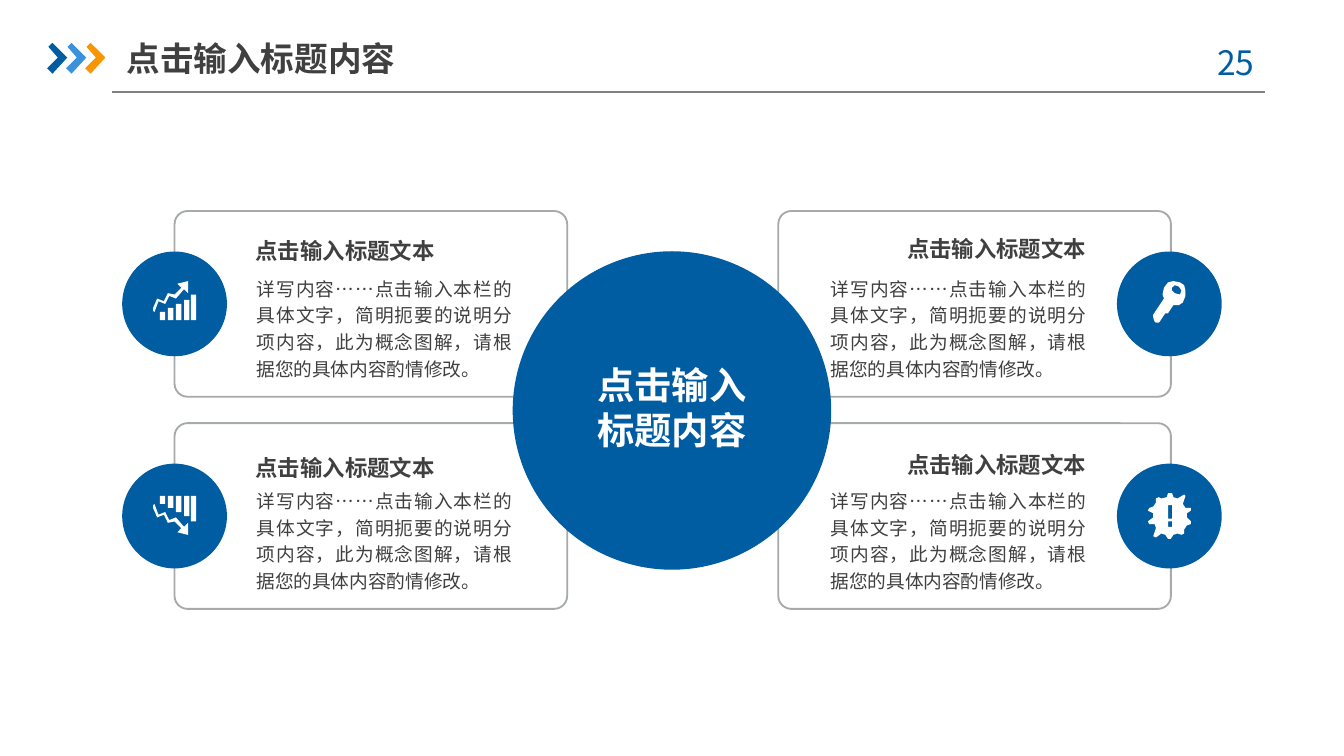
"""Build a slide with a central hub and four icon cards."""
from lxml.etree import SubElement
from pptx import Presentation
from pptx.dml.color import RGBColor
from pptx.enum.shapes import MSO_CONNECTOR, MSO_SHAPE
from pptx.enum.text import MSO_ANCHOR, MSO_AUTO_SIZE, PP_ALIGN
from pptx.oxml.ns import qn
from pptx.util import Cm, Pt

THEME = {
    "font": "Noto Sans CJK SC",
    "blue": RGBColor(0x00, 0x5D, 0xA2), "sky": RGBColor(0x39, 0x92, 0xDB),
    "orange": RGBColor(0xF7, 0x96, 0x00), "white": RGBColor(0xFF, 0xFF, 0xFF),
    "ink": RGBColor(0x40, 0x40, 0x40), "rule": RGBColor(0x80, 0x80, 0x80),
    "border": RGBColor(0xA6, 0xAA, 0xA9),
    "title": Pt(18), "hub": Pt(20), "heading": Pt(12), "detail": Pt(10),
}
ICON_UNIT = Cm(0.0254)
DETAIL = "详写内容……点击输入本栏的具体文字，简明扼要的说明分项内容，此为概念图解，请根据您的具体内容酌情修改。"


def write(holder, text, size, colour, bold=False, inset=(0, 0), anchor=MSO_ANCHOR.MIDDLE, **paragraph_format):
    frame = holder.text_frame
    frame.text = text
    side, end = (Cm(value) for value in inset)
    frame_format = {"word_wrap": True, "auto_size": MSO_AUTO_SIZE.NONE, "vertical_anchor": anchor,
                    "margin_left": side, "margin_right": side, "margin_top": end, "margin_bottom": end}
    paragraph = frame.paragraphs[0]
    run = paragraph.runs[0]
    run.font.color.rgb = THEME[colour]
    font_format = {"name": THEME["font"], "size": THEME[size], "bold": bold}
    for target, values in ((frame, frame_format), (paragraph, paragraph_format), (run.font, font_format)):
        for key, value in values.items():
            setattr(target, key, value)
    SubElement(run._r.get_or_add_rPr(), qn("a:ea"), typeface=THEME["font"])


def draw(contours, x, y, colour):
    builder = slide.shapes.build_freeform(*contours[0][0], scale=ICON_UNIT)
    for order, contour in enumerate(contours):
        if order:
            builder.move_to(*contour[0])
        builder.add_line_segments(contour[1:], close=True)
    outline = builder.convert_to_shape(Cm(x), Cm(y))
    outline.shadow.inherit = False
    outline.fill.solid()
    outline.fill.fore_color.rgb = THEME[colour]
    outline.line.fill.background()


presentation = Presentation()
presentation.slide_width, presentation.slide_height = Cm(25.4), Cm(14.29)
slide = presentation.slides.add_slide(presentation.slide_layouts[5])

title = slide.shapes.title
title_place = {"left": Cm(2.39), "top": Cm(0.56), "width": Cm(5.92), "height": Cm(1.07)}
for side, length in title_place.items():
    setattr(title, side, length)
write(title, "点击输入标题内容", "title", "ink", True, (0, 0.13), alignment=PP_ALIGN.LEFT)

header_rule = slide.shapes.add_connector(MSO_CONNECTOR.STRAIGHT, Cm(2.11), Cm(1.74), Cm(23.9), Cm(1.74))
header_rule.line.color.rgb = THEME["rule"]
header_rule.line.width = Pt(0.75)
SubElement(header_rule._element.spPr, qn("a:effectLst"))

chevron = [(1, 3), (4, 0), (15, 11), (4, 23), (0, 19), (8, 11)]
for step, colour in enumerate(("blue", "sky", "orange")):
    draw([chevron], 0.89 + 0.36 * step, 0.81, colour)

page_number = slide.shapes.add_textbox(Cm(22.5), Cm(0.66), Cm(1.85), Cm(1.02))
write(page_number, "25 ", "title", "blue", inset=(0.25, 0.13), anchor=MSO_ANCHOR.TOP, alignment=PP_ALIGN.CENTER)

trend = [(-4, -6), (1, -4), (7, -11), (10, -8), (10, -17), (2, -15), (5, -12), (0, -7), (-5, -8),
         (-8, -2), (-13, -4), (-16, 3), (-16, 5), (-15, 6), (-12, -2), (-7, 0)]
bars = [[(x, top), (x + 4, top), (x + 4, 12), (x, 12)]
        for x, top in zip((-11, -5, 1, 7, 12), (6, 3, 0, -3, -7))]
growth = [trend, *bars]
decline = [[(x, -3 - y) for x, y in contour] for contour in growth]
key = [[(12, -10), (11, -14), (8, -16), (3, -17), (-1, -16), (-4, -12), (-5, -7), (-4, -4), (-12, 8),
        (-12, 10), (-11, 13), (-10, 14), (-8, 14), (-7, 13), (-3, 7), (-1, 7), (3, 1), (7, 1),
        (10, -1), (12, -6)],
       [(8, -7), (4, -8), (2, -10), (2, -12), (4, -14), (7, -13), (9, -10)]]
alert = [[(16, 4), (13, 1), (13, -2), (16, -4), (16, -6), (12, -6), (10, -9), (12, -15), (11, -16),
          (6, -13), (3, -14), (2, -17), (-1, -17), (-2, -14), (-6, -13), (-8, -14), (-10, -13),
          (-10, -10), (-12, -7), (-15, -6), (-16, -4), (-12, -2), (-12, 1), (-16, 4), (-15, 6),
          (-11, 6), (-10, 9), (-12, 15), (-10, 16), (-6, 13), (-3, 14), (-1, 17), (1, 17), (3, 14),
          (6, 13), (9, 14), (11, 13), (11, 10), (13, 7), (16, 6)],
         [(-1, -8), (2, -8), (2, 2), (-1, 2)], [(-1, 4), (2, 4), (2, 8), (-1, 8)]]

card_width, card_height, bubble, hub_size = 7.42, 3.51, 1.98, 6.02
columns = [
    {"card": 3.3, "centre": 3.3, "detail": 4.85, "heading": 4.83, "icons": (growth, decline),
     "style": {"alignment": PP_ALIGN.LEFT, "line_spacing": 1.2}},
    {"card": 14.71, "centre": 22.1, "detail": 15.7, "heading": 16.64, "icons": (key, alert),
     "style": {"alignment": PP_ALIGN.RIGHT}},
]
rows = [{"top": 3.99, "heading": 4.27}, {"top": 8, "heading": 8.36}]
cells = [(column, row, icon) for column in columns for row, icon in zip(rows, column["icons"])]

for column, row, icon in cells:
    card = slide.shapes.add_shape(MSO_SHAPE.ROUNDED_RECTANGLE, Cm(column["card"]), Cm(row["top"]),
                                  Cm(card_width), Cm(card_height))
    card.adjustments[0] = 0.07
    card.shadow.inherit = False
    card.fill.background()
    card.line.color.rgb = THEME["border"]
    card.line.width = Pt(1)

discs = [(column["centre"] - bubble / 2, row["top"] + (card_height - bubble) / 2, bubble)
         for column, row, icon in cells]
for x, y, diameter in [(9.69, 4.75, hub_size), *discs]:
    disc = slide.shapes.add_shape(MSO_SHAPE.OVAL, Cm(x), Cm(y), Cm(diameter), Cm(diameter))
    disc.shadow.inherit = False
    disc.fill.solid()
    disc.fill.fore_color.rgb = THEME["blue"]
    disc.line.fill.background()

for column, row, icon in cells:
    detail = slide.shapes.add_textbox(Cm(column["detail"]), Cm(row["top"] + 1.17), Cm(4.83), Cm(1.05))
    write(detail, DETAIL, "detail", "ink", anchor=MSO_ANCHOR.TOP, alignment=PP_ALIGN.JUSTIFY, line_spacing=1.2)
    heading = slide.shapes.add_textbox(Cm(column["heading"]), Cm(row["heading"]), Cm(3.89), Cm(0.84))
    write(heading, "点击输入标题文本", "heading", "ink", True, **column["style"])
    draw(icon, column["centre"], row["top"] + card_height / 2, "white")

hub_label = slide.shapes.add_textbox(Cm(11.1), Cm(7.04), Cm(3.2), Cm(1.32))
write(hub_label, "点击输入标题内容", "hub", "white", True, alignment=PP_ALIGN.CENTER)

presentation.save("out.pptx")
